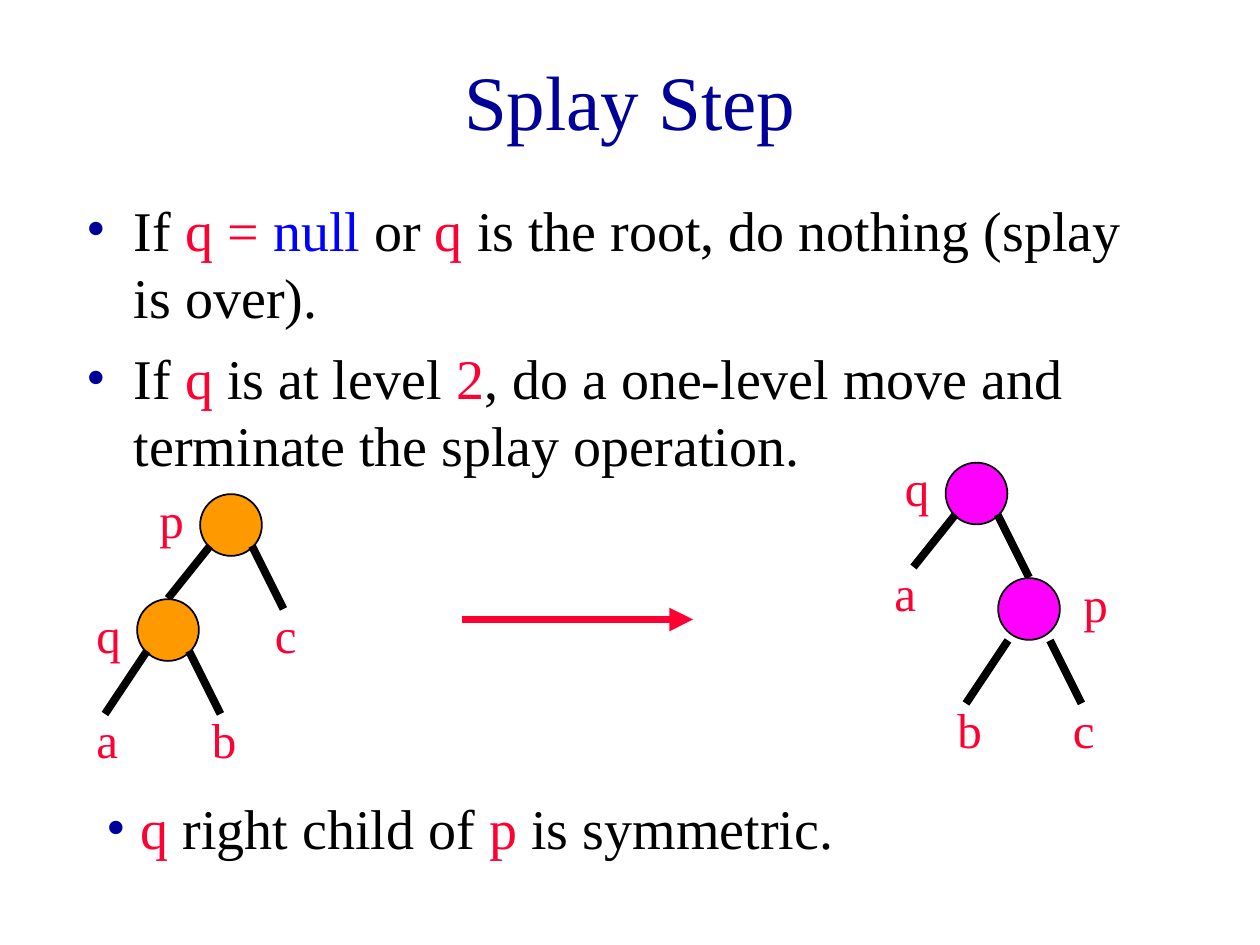
from pptx import Presentation
from pptx.dml.color import RGBColor
from pptx.enum.shapes import MSO_CONNECTOR, MSO_SHAPE
from pptx.enum.text import MSO_ANCHOR, MSO_AUTO_SIZE, PP_ALIGN
from pptx.oxml.ns import qn
from pptx.util import Inches, Pt
from lxml.etree import SubElement

FONT = "Times New Roman"
NAVY, BLACK, RED, BLUE = "000099", "000000", "FF0033", "0000FF"
ORANGE, MAGENTA = "FF9900", "FF00FF"
NODE_SIZE = 0.49

# Nodes: centre and, per edge, start offset and end point.
# Labels: text, left, top, width. All in grid cells.
BEFORE = {
    "nodes": [(22, 50, [(-2, 2, 16, 57), (2, 2, 27, 58)]),
              (16, 60, [(-2, 2, 10, 68), (2, 2, 21, 68)])],
    "labels": [("p", 14, 46, 4), ("q", 8, 57, 4), ("a", 8, 67, 8),
               ("b", 19, 67, 8), ("c", 25, 57, 8)],
}
AFTER = {
    "nodes": [(93, 47, [(-2, 2, 87, 54), (2, 2, 98, 55)]),
              (98, 58, [(-2, 3, 92, 67), (2, 3, 103, 67)])],
    "labels": [("q", 85, 43, 4), ("p", 102, 54, 4), ("a", 84, 53, 9),
               ("b", 90, 66, 8), ("c", 101, 66, 8)],
}
RULES = [
    [("If ", BLACK), ("q = ", RED), ("null", BLUE), (" or ", BLACK), ("q", RED),
     (" is the root, do nothing (splay is over).", BLACK)],
    [("If ", BLACK), ("q", RED), (" is at level ", BLACK), ("2", RED),
     (", do a one-level move and terminate the splay operation.", BLACK)],
]
SYMMETRY = [(" q", RED), (" right child of ", BLACK), ("p", RED),
            (" is symmetric.", BLACK)]


def grid(cells):
    """The slide is a grid of 120 columns and 90 rows, 12 to the inch."""
    return Inches(cells / 12)


def color(value):
    return RGBColor.from_string(value)


def place(box, left, top, width, height):
    box.left, box.top = grid(left), grid(top)
    box.width, box.height = grid(width), grid(height)


def write(para, spans, size, space_before=0):
    para.space_before = Pt(space_before)
    for text, shade in spans:
        span = para.add_run()
        span.text = text
        span.font.name = FONT
        span.font.size = Pt(size)
        span.font.color.rgb = color(shade)


def add_bullet(para, indent):
    properties = para._p.get_or_add_pPr()
    properties.set("marL", str(Inches(indent)))
    properties.set("indent", str(Inches(-indent)))
    shade = SubElement(properties, qn("a:buClr"))
    SubElement(shade, qn("a:srgbClr"), val=NAVY)
    SubElement(properties, qn("a:buFont"), typeface=FONT)
    SubElement(properties, qn("a:buChar"), char="•")


def add_text(shapes, left, top, width, height, spans, size, space_before):
    box = shapes.add_textbox(grid(left), grid(top), grid(width), grid(height))
    box.text_frame.word_wrap = True
    para = box.text_frame.paragraphs[0]
    write(para, spans, size, space_before)
    return para


def add_line(shapes, start, end, shade, arrow=False):
    line = shapes.add_connector(MSO_CONNECTOR.STRAIGHT,
                                *map(grid, start), *map(grid, end))
    line.line.color.rgb = color(shade)
    line.line.width = Pt(4.5)
    if arrow:
        SubElement(line.line._get_or_add_ln(), qn("a:tailEnd"), type="triangle")
    SubElement(line._element.spPr, qn("a:effectLst"))


def add_node(shapes, x, y, fill):
    size = Inches(NODE_SIZE)
    node = shapes.add_shape(MSO_SHAPE.OVAL, grid(x) - size // 2,
                            grid(y) - size // 2, size, size)
    node.shadow.inherit = False
    node.fill.solid()
    node.fill.fore_color.rgb = color(fill)
    node.line.color.rgb = color(BLACK)
    node.line.width = Pt(1)


def add_tree(page, tree, fill):
    shapes = page.shapes.add_group_shape().shapes
    for x, y, edges in tree["nodes"]:
        add_node(shapes, x, y, fill)
        for dx, dy, end_x, end_y in edges:
            add_line(shapes, (x + dx, y + dy), (end_x, end_y), BLACK)
    for text, left, top, width in tree["labels"]:
        add_text(shapes, left, top, width, 6.8, [(text, RED)], 28, 17.5)


def fill_title(title):
    place(title, 9, 2, 102, 15)
    frame = title.text_frame
    frame.auto_size = MSO_AUTO_SIZE.NONE
    frame.vertical_anchor = MSO_ANCHOR.MIDDLE
    frame.paragraphs[0].alignment = PP_ALIGN.CENTER
    write(frame.paragraphs[0], [("Splay Step", NAVY)], 44)


def fill_rules(body):
    place(body, 7, 18, 102, 32)
    frame = body.text_frame
    frame.auto_size = MSO_AUTO_SIZE.NONE
    for number, spans in enumerate(RULES):
        para = frame.add_paragraph() if number else frame.paragraphs[0]
        write(para, spans, 32, 8)
        add_bullet(para, 0.38)


def main():
    deck = Presentation()
    deck.slide_width, deck.slide_height = grid(120), grid(90)
    page = deck.slides.add_slide(deck.slide_layouts[1])

    # Title and rules
    fill_title(page.shapes.title)
    fill_rules(page.placeholders[1])

    # Tree before the move, arrow, tree after the move
    add_tree(page, BEFORE, ORANGE)
    add_line(page.shapes, (44, 59), (66, 59), RED, arrow=True)
    add_tree(page, AFTER, MAGENTA)

    # Closing remark
    add_bullet(add_text(page.shapes, 9, 75, 111, 7.7, SYMMETRY, 32, 20), 0)

    deck.save("out.pptx")


if __name__ == "__main__":
    main()
